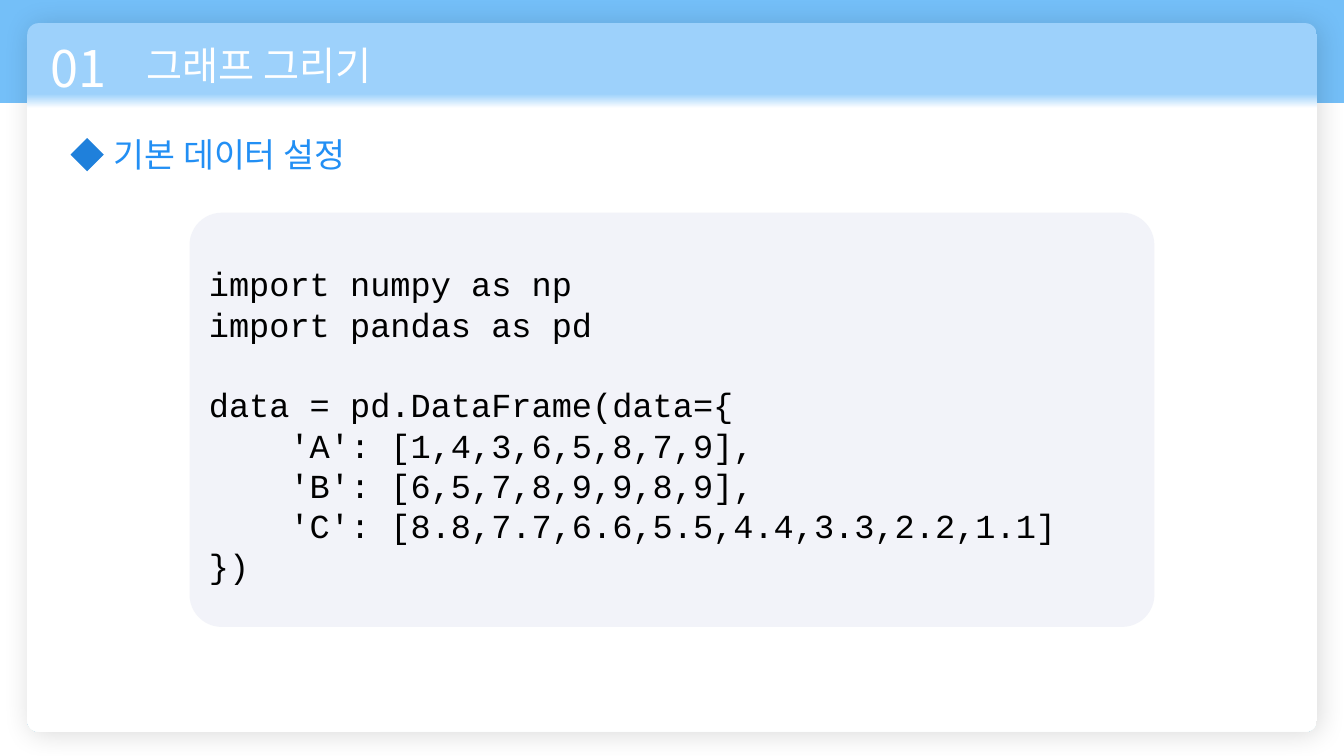
from lxml.etree import SubElement
from pptx import Presentation
from pptx.dml.color import RGBColor
from pptx.enum.shapes import MSO_SHAPE as Shape
from pptx.enum.text import MSO_ANCHOR as Anchor, MSO_AUTO_SIZE as AutoSize, PP_ALIGN as Align
from pptx.oxml.ns import qn
from pptx.util import Inches, Pt

COLORS = {
    "band": "74BFF8", "header": "9DD1FB", "white": "FFFFFF", "heading": "228FF4",
    "diamond": "1F80DB", "code_panel": "F2F3F9", "black": "000000",
}
KOREAN_FONT = "Noto Sans CJK KR"
CODE_FONT = "Courier New"
LINE_PITCH = Pt(28.8)


def add_panel(kind, left, top, width, height, color):
    shape = slide.shapes.add_shape(
        kind, Inches(left), Inches(top), Inches(width), Inches(height))
    shape.shadow.inherit = False
    shape.line.fill.background()
    shape.fill.solid()
    shape.fill.fore_color.rgb = RGBColor.from_string(COLORS[color])
    return shape


def style_paragraph(paragraph, name, size, color):
    paragraph.alignment = Align.LEFT
    font = paragraph.font
    font.name = name
    font.size = Pt(size)
    font.color.rgb = RGBColor.from_string(COLORS[color])
    # East Asian typeface
    defaults = paragraph._p.pPr.find(qn("a:defRPr"))
    SubElement(defaults, qn("a:ea"), typeface=name)


presentation = Presentation()
presentation.slide_width = Inches(13.33)
presentation.slide_height = Inches(7.5)
slide = presentation.slides.add_slide(presentation.slide_layouts[6])

# Top band
add_panel(Shape.RECTANGLE, 0, 0, 13.33, 1.02, "band")

# Card with a blue header that fades into white
card = add_panel(Shape.ROUNDED_RECTANGLE, 0.27, 0.23, 12.79, 7.03, "white")
card.adjustments[0] = 0.016
card.fill.gradient()
card.fill.gradient_angle = 270
for stop, position, color in zip(card.fill.gradient_stops, (0.10, 0.12), ("header", "white")):
    stop.position = position
    stop.color.rgb = RGBColor.from_string(COLORS[color])

# Soft card shadow
effects = card._element.spPr.find(qn("a:effectLst"))
shadow = SubElement(effects, qn("a:outerShdw"), blurRad=str(Pt(20)), dist=str(Pt(3)),
                    dir=str(45 * 60000), algn="tl", rotWithShape="0")
shadow_color = SubElement(shadow, qn("a:srgbClr"), val=COLORS["black"])
SubElement(shadow_color, qn("a:alpha"), val="14000")

# Section number, title and heading
labels = [
    ("01", 0.4, 0.32, 1.02, 0.71, 36, "white"),
    ("그래프 그리기", 1.36, 0.36, 4.9, 0.57, 28, "white"),
    ("기본 데이터 설정", 1.03, 1.28, 3.3, 0.5, 24, "heading"),
]
for text, left, top, width, height, size, color in labels:
    box = slide.shapes.add_textbox(Inches(left), Inches(top), Inches(width), Inches(height))
    frame = box.text_frame
    frame.word_wrap = True
    frame.auto_size = AutoSize.SHAPE_TO_FIT_TEXT
    frame.text = text
    style_paragraph(frame.paragraphs[0], KOREAN_FONT, size, color)

add_panel(Shape.DIAMOND, 0.7, 1.37, 0.33, 0.33, "diamond")

# Code panel
code_panel = add_panel(Shape.ROUNDED_RECTANGLE, 1.88, 2.11, 9.57, 4.11, "code_panel")
code_panel.adjustments[0] = 0.078
code_frame = code_panel.text_frame
code_frame.word_wrap = True
code_frame.vertical_anchor = Anchor.MIDDLE
code_frame.margin_top = Inches(0.14)
code_frame.text = """import numpy as np
import pandas as pd
data = pd.DataFrame(data={
    'A': [1,4,3,6,5,8,7,9],
    'B': [6,5,7,8,9,9,8,9],
    'C': [8.8,7.7,6.6,5.5,4.4,3.3,2.2,1.1]
})"""
for paragraph in code_frame.paragraphs:
    style_paragraph(paragraph, CODE_FONT, 24, "black")
    paragraph.line_spacing = LINE_PITCH
    # One free line between the imports and the data
    if paragraph.text.startswith("data"):
        paragraph.space_before = LINE_PITCH

presentation.save("out.pptx")
